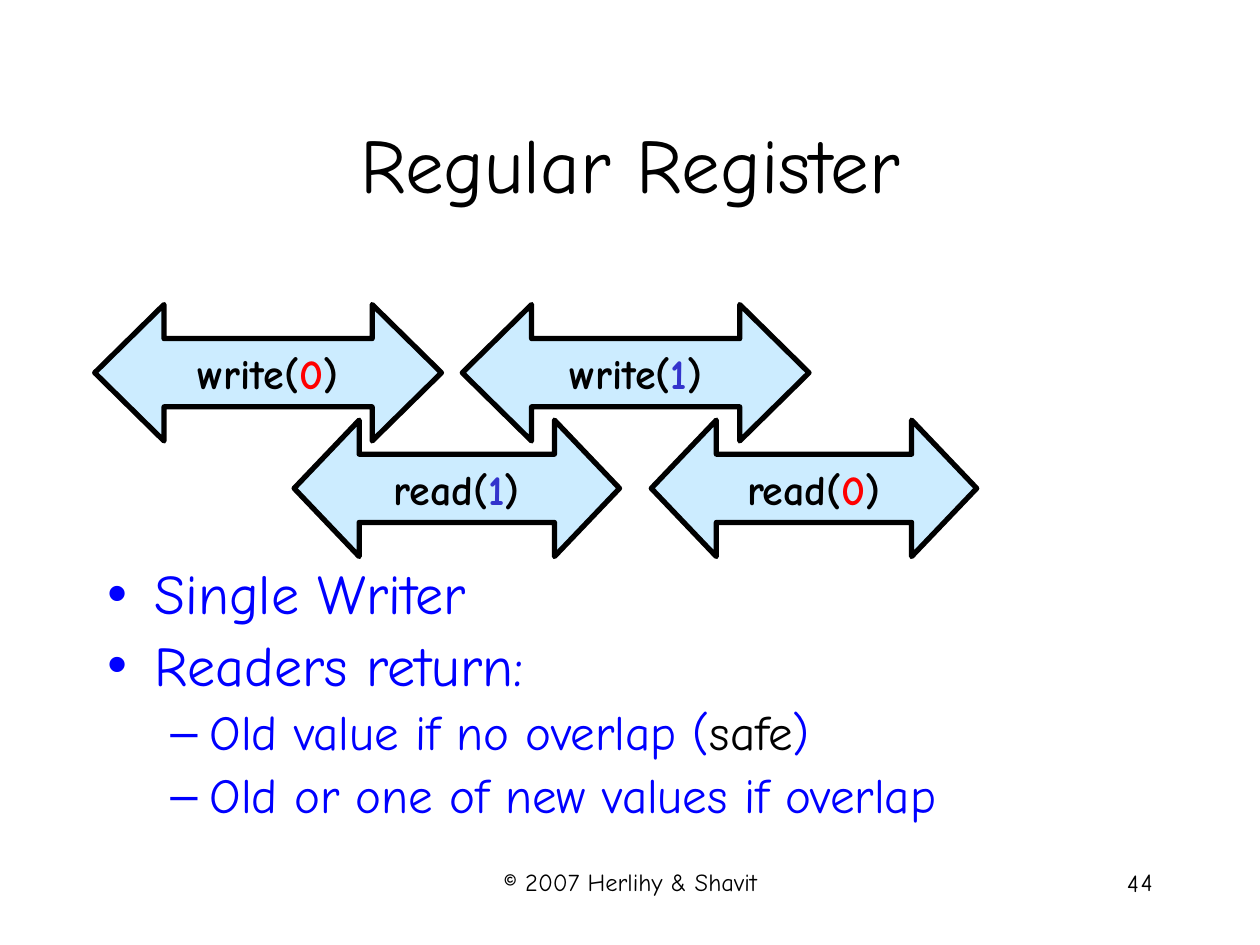
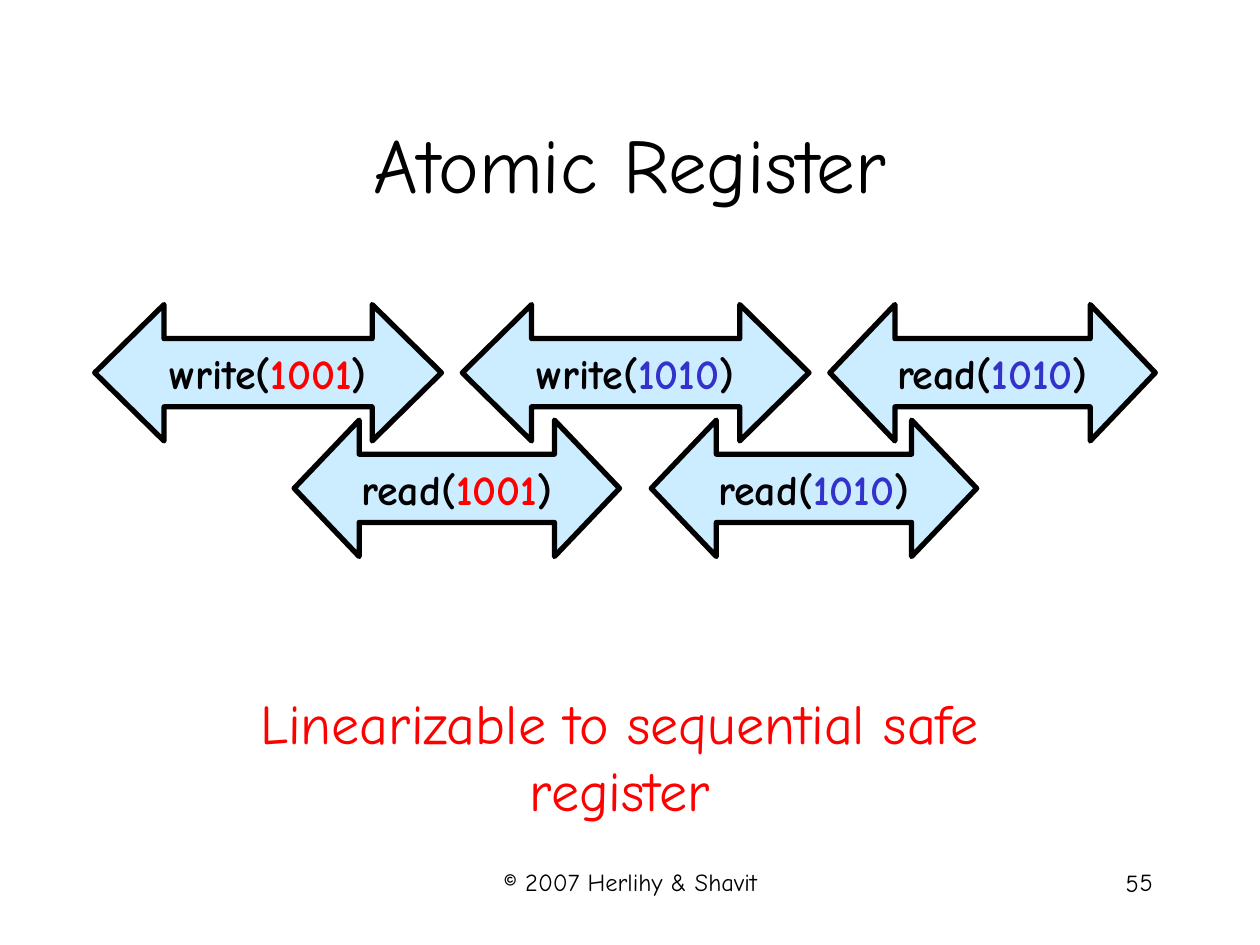
from pptx import Presentation
from pptx.dml.color import RGBColor
from pptx.enum.shapes import MSO_SHAPE
from pptx.enum.text import MSO_ANCHOR, MSO_AUTO_SIZE, PP_ALIGN
from pptx.util import Cm, Pt

ARROW = MSO_SHAPE.LEFT_RIGHT_ARROW
LEFT, CENTER, RIGHT = PP_ALIGN.LEFT, PP_ALIGN.CENTER, PP_ALIGN.RIGHT
MIDDLE, TOP = MSO_ANCHOR.MIDDLE, MSO_ANCHOR.TOP
NO_FIT = MSO_AUTO_SIZE.NONE

BLACK = RGBColor(0x00, 0x00, 0x00)
RED = RGBColor(0xFF, 0x00, 0x00)
BLUE = RGBColor(0x00, 0x00, 0xFF)
INDIGO = RGBColor(0x33, 0x33, 0xCC)
PALE_BLUE = RGBColor(0xCC, 0xEC, 0xFF)
FONT = "Comic Neue"

TITLE_ONLY, TITLE_AND_BODY = 5, 1  # layouts of the default template

# Boxes are (left, top, width, height) in centimetres.
TITLE_BOX = (1.91, 1.69, 21.59, 3.18)
TIMELINE_BOX = (1.91, 6.14, 21.38, 5.08)
RULES_BOX = (1.91, 11.28, 21.59, 5.64)
CAPTION_BOX = (3.18, 13.76, 18.63, 2.96)
FOOTER_BOX = (8.68, 17.36, 8.06, 1.27)
NUMBER_BOXES = [(17.94, 17.38, 5.27, 1.27), (18.22, 17.36, 5.27, 1.27)]

ARROW_HEIGHT = 2.75
ROW_PITCH = 2.33
# For each kind of call: arrow width and arrowhead length as a share of height.
CALL_ARROWS = {"write": (6.99, 0.508), "read": (6.56, 0.477)}
# For each row: offset of its first arrow and distance between arrows.
ROWS = [(0, 7.41), (4.02, 7.2)]


def place(shape, box):
    shape.left, shape.top, shape.width, shape.height = map(Cm, box)


def style(paragraph, size, color=BLACK, align=LEFT, bold=False):
    paragraph.alignment = align
    font = paragraph.font
    font.name, font.size, font.bold = FONT, Pt(size), bold
    font.color.rgb = color


def add_runs(paragraph, pieces):
    """Add (text, colour) pieces; None keeps the paragraph's colour."""
    for text, color in pieces:
        run = paragraph.add_run()
        run.text = text
        if color is not None:
            run.font.color.rgb = color


def add_label(slide, box, text, size, color=BLACK, align=CENTER):
    frame = slide.shapes.add_textbox(*map(Cm, box)).text_frame
    frame.word_wrap = True
    frame.text = text
    style(frame.paragraphs[0], size, color, align)


def add_base_slide(prs, layout, title, digit):
    """Add a slide with the shared title, footer and two-digit page mark."""
    slide = prs.slides.add_slide(prs.slide_layouts[layout])
    heading = slide.shapes.title
    place(heading, TITLE_BOX)
    frame = heading.text_frame
    frame.text = title
    frame.auto_size, frame.vertical_anchor = NO_FIT, MIDDLE
    style(frame.paragraphs[0], 44, align=CENTER)
    add_label(slide, FOOTER_BOX, "© 2007 Herlihy & Shavit", 14)
    for box in NUMBER_BOXES:
        add_label(slide, box, digit, 14, align=RIGHT)
    return slide


def add_call(slide, box, head, call, value, value_color):
    arrow = slide.shapes.add_shape(ARROW, *map(Cm, box))
    arrow.adjustments[0], arrow.adjustments[1] = 0.5, head
    arrow.shadow.inherit = False
    arrow.fill.solid()
    arrow.fill.fore_color.rgb = PALE_BLUE
    arrow.line.color.rgb = BLACK
    arrow.line.width = Pt(3)
    frame = arrow.text_frame
    frame.word_wrap, frame.vertical_anchor = False, MIDDLE
    paragraph = frame.paragraphs[0]
    style(paragraph, 24, align=CENTER, bold=True)
    add_runs(paragraph, [(f"{call}(", BLACK), (value, value_color), (")", BLACK)])


def add_timeline(slide, box, calls, value_colors):
    """Draw (call, value, row, column) entries as overlapping time spans."""
    left, top = box[:2]
    for call, value, row, column in calls:
        width, head = CALL_ARROWS[call]
        start, pitch = ROWS[row]
        span = (left + start + column * pitch, top + row * ROW_PITCH,
                width, ARROW_HEIGHT)
        add_call(slide, span, head, call, value, value_colors[value])


def fill_rules(body, box, rules):
    """Fill the body with (level, pieces) bullets."""
    place(body, box)
    frame = body.text_frame
    frame.auto_size, frame.vertical_anchor = NO_FIT, TOP
    for index, (level, pieces) in enumerate(rules):
        paragraph = frame.add_paragraph() if index else frame.paragraphs[0]
        paragraph.level = level
        paragraph.line_spacing = 0.9
        style(paragraph, 28 if level else 32, BLUE)
        add_runs(paragraph, pieces)


def add_regular_register(prs):
    slide = add_base_slide(prs, TITLE_AND_BODY, "Regular Register", "4")
    calls = [("write", "0", 0, 0), ("read", "1", 1, 0),
             ("write", "1", 0, 1), ("read", "0", 1, 1)]
    add_timeline(slide, TIMELINE_BOX, calls, {"0": RED, "1": INDIGO})
    fill_rules(slide.placeholders[1], RULES_BOX, [
        (0, [("Single Writer", BLUE)]),
        (0, [("Readers return:", BLUE)]),
        (1, [("Old value if no overlap (", BLUE), ("safe", BLACK), (")", BLUE)]),
        (1, [("Old or one of new values if overlap", BLUE)]),
    ])


def add_atomic_register(prs):
    slide = add_base_slide(prs, TITLE_ONLY, "Atomic Register", "5")
    calls = [("write", "1001", 0, 0), ("read", "1001", 1, 0),
             ("write", "1010", 0, 1), ("read", "1010", 1, 1),
             ("read", "1010", 0, 2)]
    add_timeline(slide, TIMELINE_BOX, calls, {"1001": RED, "1010": INDIGO})
    add_label(slide, CAPTION_BOX, "Linearizable to sequential safe register",
              32, RED)


def main():
    prs = Presentation()
    prs.slide_width, prs.slide_height = Cm(25.4), Cm(19.05)
    add_regular_register(prs)
    add_atomic_register(prs)
    prs.save("out.pptx")


if __name__ == "__main__":
    main()
